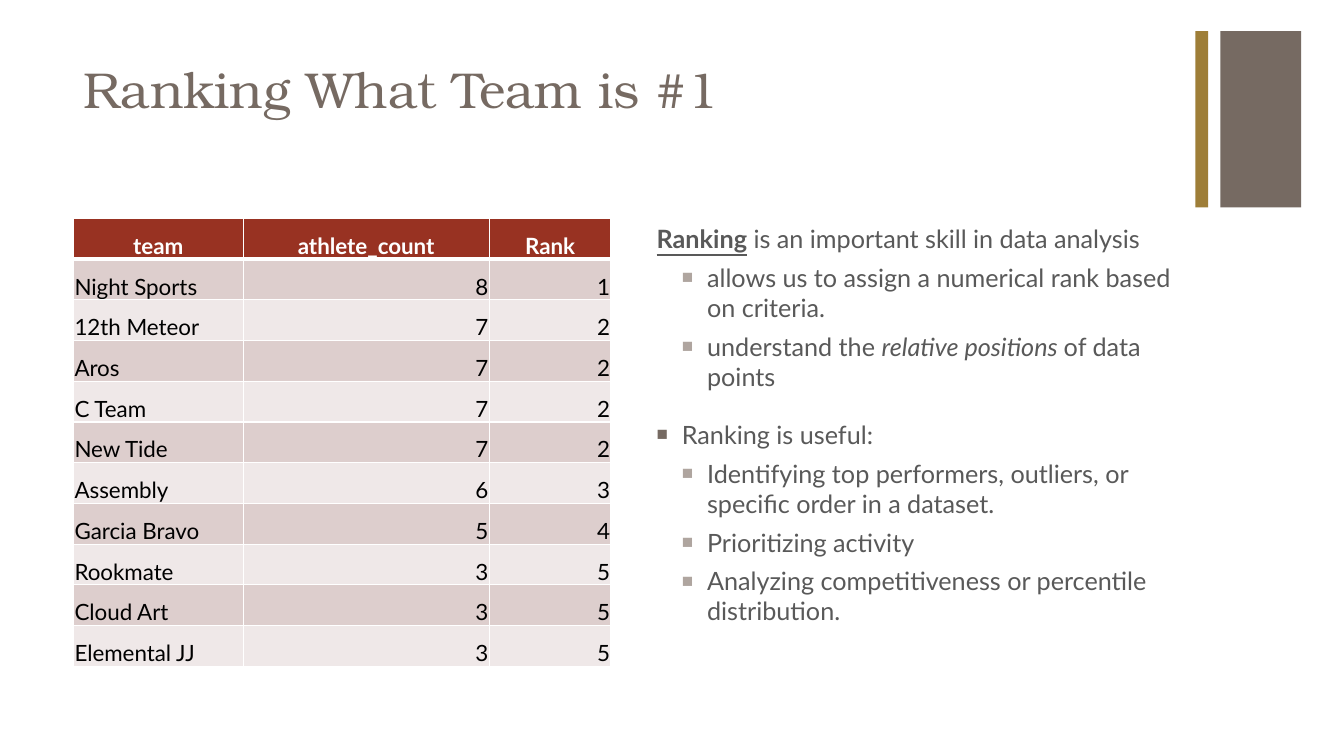
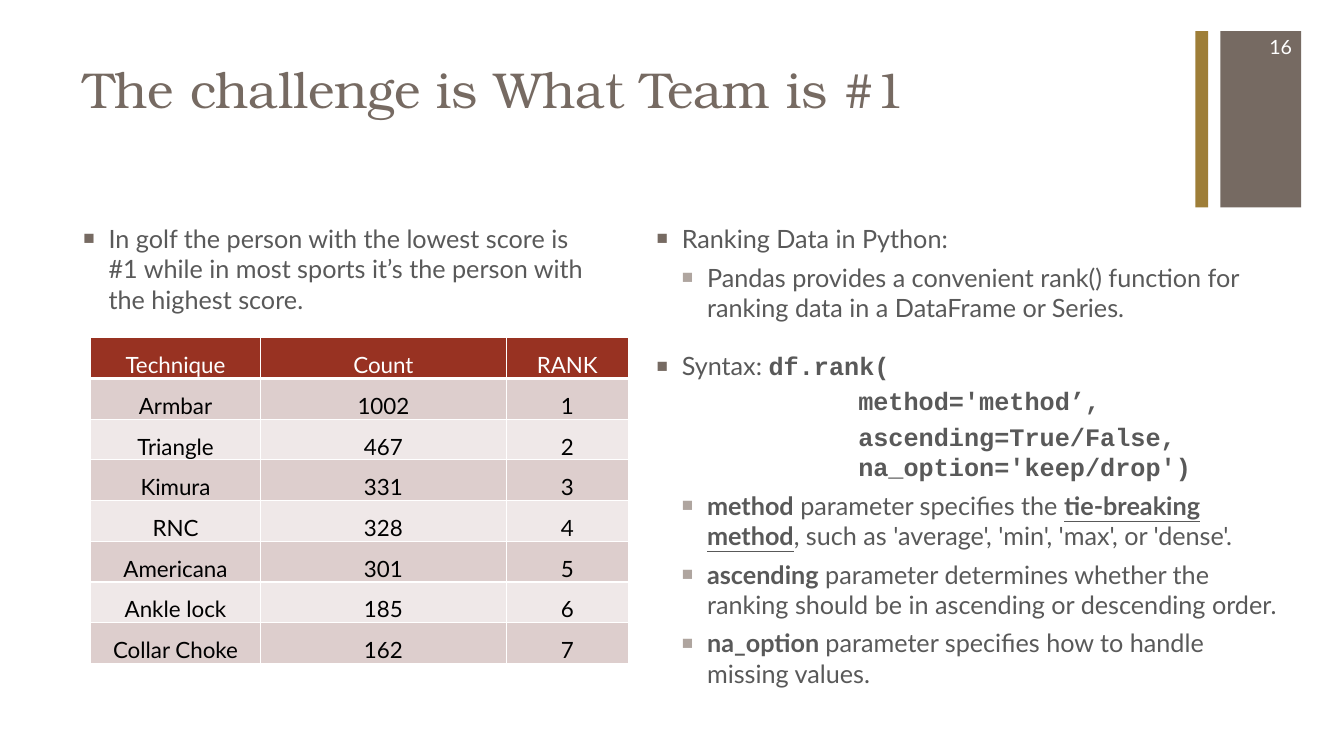
import pptx
import pptx.dml.color
import pptx.enum.shapes
import pptx.enum.text
import pptx.oxml
import pptx.oxml.ns
import pptx.util

ALIGN = pptx.enum.text.PP_ALIGN
ANCHOR = pptx.enum.text.MSO_ANCHOR
Pt = pptx.util.Pt

TAUPE, GOLD, GREY, STONE = "766A62", "9E7E38", "595959", "AFA59F"
RED, ROSE, PALE = "983222", "DDCECD", "EFE8E8"
WHITE, BLACK = "FFFFFF", "000000"
SERIF, SANS, MONO = "TeX Gyre Bonum", "Lato", "Courier New"

COLS = 32
LEFT, RIGHT, TOP = 1.75, 15.4, 5.2
WIDTHS, ROW = (4.04, 5.86, 2.9), 0.97
HALF = sum(WIDTHS)

# Each kind of line: level, left margin and hang in inches, space before, bullet colour
LINES = {
    "plain": (0, 0, 0, 20, None),
    "main": (0, 0.25, -0.25, 20, TAUPE),
    "sub": (1, 0.5, -0.25, 6, STONE),
    "code": (8, 2, 0, 3.6, None),
}


def rgb(code):
    return pptx.dml.color.RGBColor.from_string(code)


def add_xml(node, body):
    """Append one drawing element, given as XML without its namespace."""
    tag, rest = body.split(" ", 1)
    node.append(pptx.oxml.parse_xml(f"{tag} {pptx.oxml.ns.nsdecls('a')} {rest}"))


class Deck:
    """Holds the style, the grid and the current slide."""

    def __init__(self):
        self.prs = pptx.Presentation()
        self.prs.slide_width = pptx.util.Inches(40 / 3)
        self.prs.slide_height = pptx.util.Inches(7.5)
        self.unit = self.prs.slide_width / COLS

    def span(self, *cells):
        """Turn grid cells into slide lengths."""
        return [round(cell * self.unit) for cell in cells]

    def page(self, title):
        """Start a slide with its bands and title."""
        self.slide = self.prs.slides.add_slide(self.prs.slide_layouts[6])
        self.band(29.06, 1.92, TAUPE)
        self.band(28.46, 0.31, GOLD)
        frame = self.box(LEFT, 1.27, 26.45, 2.93)
        frame.text = title
        self.style(frame.paragraphs[0].runs[0], 36, TAUPE, SERIF)

    def band(self, left, width, fill):
        kind = pptx.enum.shapes.MSO_SHAPE.RECTANGLE
        shape = self.slide.shapes.add_shape(kind, *self.span(left, 0.74, width, 4.2))
        shape.shadow.inherit = False
        shape.fill.solid()
        shape.fill.fore_color.rgb = rgb(fill)
        shape.line.fill.background()

    def box(self, *place):
        frame = self.slide.shapes.add_textbox(*self.span(*place)).text_frame
        frame.word_wrap = True
        return frame

    def style(self, run, size, color, face=SANS, marks=""):
        """Format a run; marks are b bold, i italic, u underline, m mono."""
        font = run.font
        font.size = Pt(size)
        font.name = MONO if "m" in marks else face
        font.color.rgb = rgb(color)
        font.bold = "b" in marks
        font.italic = "i" in marks
        font.underline = "u" in marks

    def number(self, text):
        frame = self.box(29.06, 0.62, 1.94, 0.96)
        frame.vertical_anchor = ANCHOR.MIDDLE
        frame.text = text
        para = frame.paragraphs[0]
        para.alignment = ALIGN.RIGHT
        self.style(para.runs[0], 14, WHITE)

    def body(self, place, lines):
        """Add lines, each a kind followed by texts or (text, marks) pairs."""
        frame = self.box(*place)
        for i, (kind, *parts) in enumerate(lines):
            para = frame.add_paragraph() if i else frame.paragraphs[0]
            level, left, hang, before, bullet = LINES[kind]
            para.level = level
            if i:
                para.space_before = Pt(before)
            props = para._p.get_or_add_pPr()
            props.set("marL", str(pptx.util.Inches(left)))
            props.set("indent", str(pptx.util.Inches(hang)))
            if bullet:
                add_xml(props, f'<a:buClr ><a:srgbClr val="{bullet}"/></a:buClr>')
                add_xml(props, '<a:buSzPct val="75000"/>')
                add_xml(props, '<a:buFont typeface="Arial"/>')
                add_xml(props, '<a:buChar char="■"/>')
            for part in parts:
                text, marks = (part, "") if isinstance(part, str) else part
                run = para.add_run()
                run.text = text
                self.style(run, 18, GREY, marks=marks)

    def table(self, left, top, rows, aligns, head=""):
        """Add a banded table; head gives the marks of the header text."""
        place = self.span(left, top, HALF, ROW * len(rows))
        grid = self.slide.shapes.add_table(len(rows), len(WIDTHS), *place).table
        for col, width in zip(grid.columns, self.span(*WIDTHS)):
            col.width = width
        for i, row in enumerate(rows):
            grid.rows[i].height = self.span(ROW)[0]
            fill = (PALE, ROSE)[i % 2] if i else RED
            for j, text in enumerate(row):
                cell = grid.cell(i, j)
                self.edge(cell, 3 if i == 1 else 1, 1 if i else 3)
                cell.fill.solid()
                cell.fill.fore_color.rgb = rgb(fill)
                cell.vertical_anchor = ANCHOR.BOTTOM
                cell.margin_left = cell.margin_right = cell.margin_top = Pt(0.75)
                cell.margin_bottom = 0
                cell.text_frame.text = text
                para = cell.text_frame.paragraphs[0]
                para.alignment = aligns[j] if i else ALIGN.CENTER
                self.style(para.runs[0], 16, BLACK if i else WHITE,
                           marks="" if i else head)

    def edge(self, cell, top, bottom):
        """Draw white cell borders of the given widths."""
        props = cell._tc.get_or_add_tcPr()
        for side, width in zip("LRTB", (1, 1, top, bottom)):
            add_xml(props, f'<a:ln{side} w="{Pt(width)}"><a:solidFill>'
                    f'<a:srgbClr val="{WHITE}"/></a:solidFill></a:ln{side}>')


def main():
    deck = Deck()

    deck.page("Ranking What Team is #1")
    teams = [
        ("team", "athlete_count", "Rank"),
        ("Night Sports", "8", "1"),
        ("12th Meteor", "7", "2"),
        ("Aros", "7", "2"),
        ("C Team", "7", "2"),
        ("New Tide", "7", "2"),
        ("Assembly", "6", "3"),
        ("Garcia Bravo", "5", "4"),
        ("Rookmate", "3", "5"),
        ("Cloud Art", "3", "5"),
        ("Elemental JJ", "3", "5"),
    ]
    deck.table(LEFT, TOP, teams, (ALIGN.LEFT, ALIGN.RIGHT, ALIGN.RIGHT), "b")
    deck.body((RIGHT, TOP, HALF, 10.87), [
        ("plain", ("Ranking", "bu"), " is an important skill in data analysis"),
        ("sub", "allows us to assign a numerical rank based on criteria."),
        ("sub", "understand the ", ("relative positions ", "i"), "of data points"),
        ("main", "Ranking is useful:"),
        ("sub", "Identifying top performers, outliers, or specific order in a dataset."),
        ("sub", "Prioritizing activity"),
        ("sub", "Analyzing competitiveness or percentile distribution."),
    ])

    deck.page("The challenge is What Team is #1")
    deck.body((LEFT, TOP, HALF, 2.66), [
        ("main", "In golf the person with the lowest score is #1 while in most "
                 "sports it’s the person with the highest score."),
    ])
    deck.body((RIGHT, TOP, 15.6, 10.87), [
        ("main", "Ranking Data in Python:"),
        ("sub", "Pandas provides a convenient rank() function for ranking data "
                "in a DataFrame or Series."),
        ("main", "Syntax: ", ("df.rank(", "bm")),
        ("code", ("method='method’,", "bm")),
        ("code", ("ascending=True/False, na_option='keep/drop')", "bm")),
        ("sub", ("method", "b"), " parameter specifies the ",
         ("tie-breaking method", "bu"),
         ", such as 'average', 'min', 'max', or 'dense'."),
        ("sub", ("ascending", "b"), " parameter determines whether the ranking "
                                    "should be in ascending or descending order."),
        ("sub", ("na_option ", "b"), "parameter specifies how to handle missing values."),
    ])
    deck.number("16")
    moves = [
        ("Technique", "Count", "RANK"),
        ("Armbar", "1002", "1"),
        ("Triangle", "467", "2"),
        ("Kimura", "331", "3"),
        ("RNC", "328", "4"),
        ("Americana", "301", "5"),
        ("Ankle lock", "185", "6"),
        ("Collar Choke", "162", "7"),
    ]
    deck.table(2.16, 8.04, moves, (ALIGN.CENTER,) * 3)

    deck.prs.save("out.pptx")


if __name__ == "__main__":
    main()
